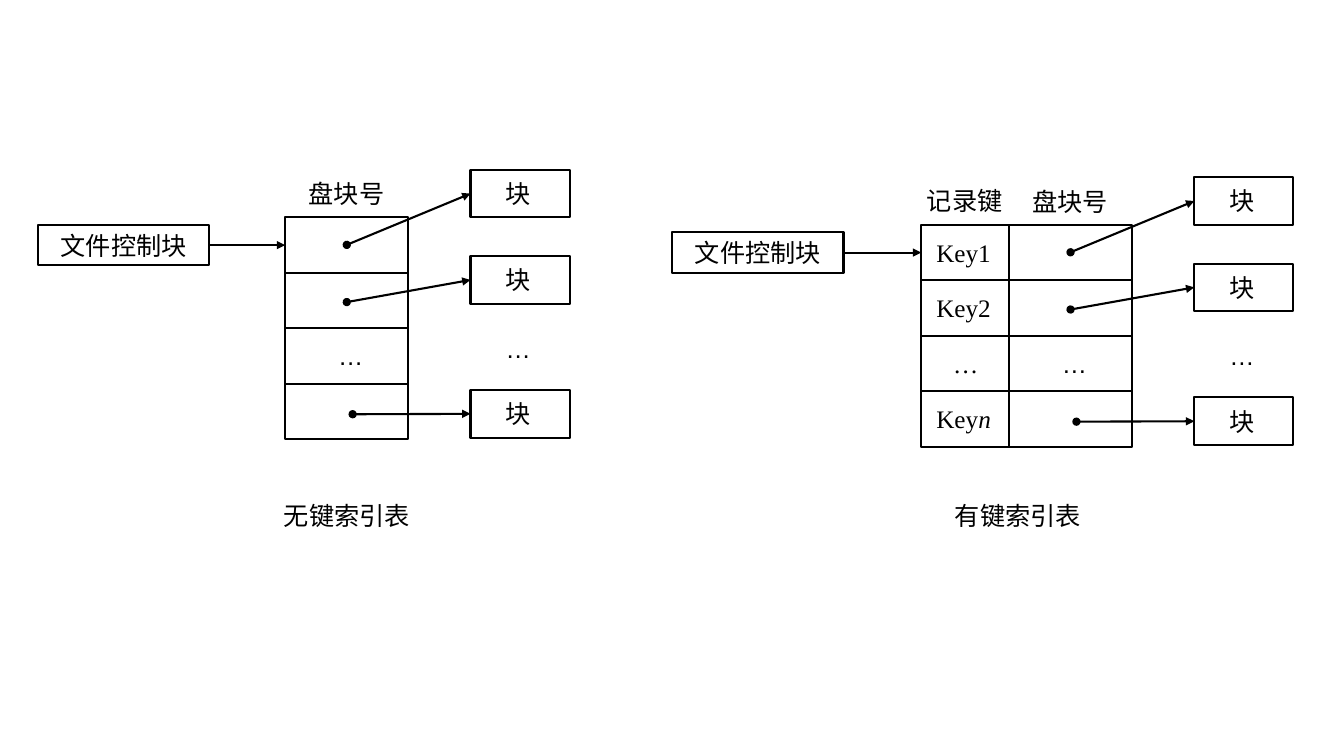
from lxml.etree import SubElement
from pptx import Presentation
from pptx.dml.color import RGBColor
from pptx.enum.shapes import MSO_CONNECTOR, MSO_SHAPE
from pptx.enum.text import MSO_ANCHOR, MSO_AUTO_SIZE, PP_ALIGN
from pptx.oxml.ns import qn
from pptx.util import Pt

BLACK = "000000"
ROW = 39.6
LINE = 28.8


def paint(color, tone):
    color.rgb = RGBColor.from_string(tone)


def write(shape, text, font="Arial", size=18, tone=BLACK, center=False, tail=""):
    frame = shape.text_frame
    frame.word_wrap = True
    frame.auto_size = MSO_AUTO_SIZE.SHAPE_TO_FIT_TEXT
    para = frame.paragraphs[0]
    para.alignment = PP_ALIGN.CENTER if center else PP_ALIGN.LEFT
    for part, slant in ((text, False), (tail, True)):
        if part:
            run = para.add_run()
            run.text = part
            run.font.name = font
            run.font.size = Pt(size)
            run.font.italic = slant
            paint(run.font.color, tone)


def label(slide, x, y, width, text, **style):
    shape = slide.shapes.add_textbox(Pt(x), Pt(y), Pt(width), Pt(LINE))
    write(shape, text, **style)


def box(slide, x, y, width, height):
    shape = slide.shapes.add_shape(
        MSO_SHAPE.RECTANGLE, Pt(x), Pt(y), Pt(width), Pt(height))
    shape.shadow.inherit = False
    shape.fill.background()
    paint(shape.line.color, BLACK)
    shape.line.width = Pt(1.5)
    shape.text_frame.vertical_anchor = MSO_ANCHOR.MIDDLE
    return shape


def arrow(slide, goal, start=None, x=0, y=0):
    line = slide.shapes.add_connector(
        MSO_CONNECTOR.STRAIGHT, Pt(x), Pt(y), goal.left, goal.top)
    if start is not None:
        line.begin_connect(start, 3)
    line.end_connect(goal, 1)
    paint(line.line.color, BLACK)
    line.line.width = Pt(1.5)
    props = line._element.spPr
    stroke = props.find(qn("a:ln"))
    if start is None:
        SubElement(stroke, qn("a:headEnd"), type="oval")
    SubElement(stroke, qn("a:tailEnd"), type="triangle")
    SubElement(props, qn("a:effectLst"))


def column(slide, x, y, width):
    return [box(slide, x, y + i * ROW, width, ROW) for i in range(4)]


def index(slide, x, y):
    cells = column(slide, x, y, 87.8)
    label(slide, x + 6.4, y - 31.4, 74.9, "盘块号", center=True)
    label(slide, x + 30.7, y + 84.5, 52.6, "…")
    label(slide, x + 150.4, y + 79.2, 52.6, "…")
    for top, dot_x, dot_y in ((-34, 44, 19.6), (27.7, 44, 60.5), (123.3, 48.2, 140.6)):
        block = box(slide, x + 132.4, y + top, 70.8, 34)
        label(slide, x + 150.4, y + top + 2.5, 34.6, "块")
        arrow(slide, block, x=x + dot_x, y=y + dot_y)
    return cells


def keys(slide, x, y):
    cells = column(slide, x, y, 62.6)
    label(slide, x - 6.5, y - 31.7, 74.9, "记录键", center=True)
    rows = (("Key1", ""), ("Key2", ""), ("…", ""), ("Key", "n"))
    for i, (text, tail) in enumerate(rows):
        label(slide, x + 3.6, y + 5.3 + i * ROW, 56.2, text, tail=tail,
              font="Times New Roman", center=text == "…")
    return cells


def control(slide, x, y, goal):
    shape = box(slide, x, y + (ROW - LINE) / 2, 122.4, LINE)
    write(shape, "文件控制块", center=True)
    arrow(slide, goal, start=shape)


def main():
    deck = Presentation()
    deck.slide_width, deck.slide_height = Pt(960), Pt(540)
    slide = deck.slides.add_slide(deck.slide_layouts[6])

    cells = index(slide, 203.7, 155.3)
    control(slide, 27.2, 155.3, cells[0])
    label(slide, 195.8, 353.5, 112.3, "无键索引表")

    index(slide, 720.7, 160.6)
    cells = keys(slide, 658.1, 160.6)
    control(slide, 480.2, 160.6, cells[0])
    label(slide, 671, 353.5, 112.3, "有键索引表", center=True)

    deck.save("out.pptx")


if __name__ == "__main__":
    main()
